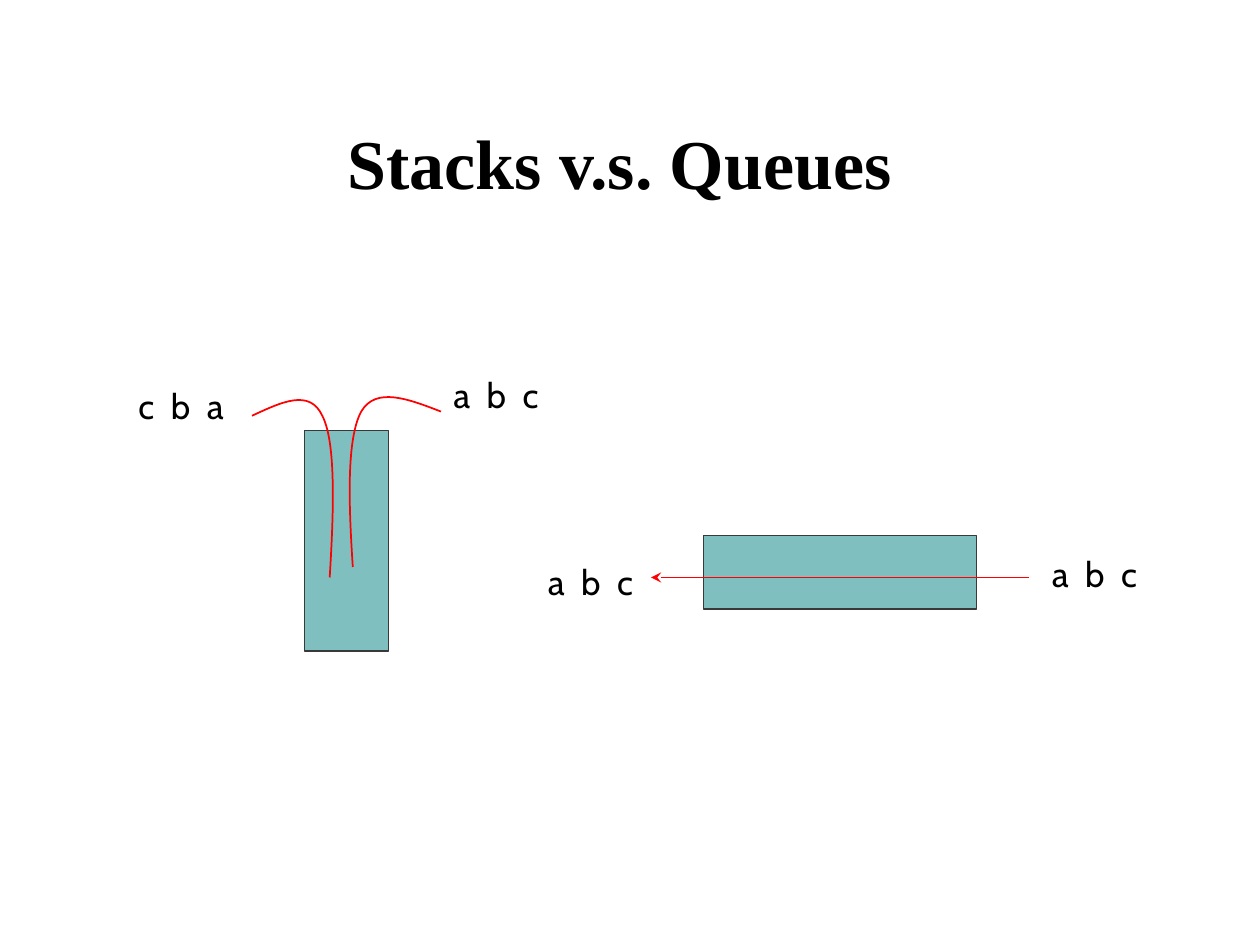
from dataclasses import dataclass

from lxml.etree import SubElement
from pptx import Presentation
from pptx.dml.color import RGBColor as RGB
from pptx.enum.shapes import MSO_CONNECTOR as Link, MSO_SHAPE as Form
from pptx.enum.text import MSO_ANCHOR as Anchor, PP_ALIGN as Align
from pptx.oxml.ns import qn
from pptx.util import Inches, Pt


@dataclass(frozen=True)
class Theme:
    ink: RGB = RGB(0, 0, 0)
    teal: RGB = RGB(0, 0x80, 0x80)
    edge: RGB = RGB(0x39, 0x39, 0x39)
    red: RGB = RGB(0xFF, 0, 0)
    alpha: int = 50
    head: str = "Times New Roman"
    body: str = "Cabin"
    big: int = 40
    small: int = 20
    gap: float = 2.5
    thin: float = 0.75
    bold: float = 1


class Board:
    """A slide on a grid of 120 columns by 90 rows."""

    cols, rows = 120, 90

    def __init__(self, theme):
        self.theme = theme
        self.deck = Presentation()
        self.deck.slide_width, self.deck.slide_height = Inches(10), Inches(7.5)
        self.slide = self.deck.slides.add_slide(self.deck.slide_layouts[5])
        self.shapes = self.slide.shapes

    def grid(self, *spots):
        """Turn alternating columns and rows into lengths."""
        units = (self.deck.slide_width / self.cols,
                 self.deck.slide_height / self.rows)
        return [round(spot * units[i % 2]) for i, spot in enumerate(spots)]

    def stroke(self, shape, color, width):
        shape.line.color.rgb = color
        shape.line.width = Pt(width)

    def title(self, text, *box):
        shape = self.shapes.title
        shape.left, shape.top, shape.width, shape.height = self.grid(*box)
        frame = shape.text_frame
        frame.text = text
        frame.vertical_anchor = Anchor.BOTTOM
        para = frame.paragraphs[0]
        para.alignment = Align.CENTER
        self.style(para.font, self.theme.head, self.theme.big)
        para.font.bold = True

    def style(self, font, name, size):
        font.name, font.size = name, Pt(size)
        font.color.rgb = self.theme.ink

    def label(self, text, col, row):
        """Write letters set apart by wide character spacing."""
        frame = self.shapes.add_textbox(*self.grid(col, row, 12, 5.2)).text_frame
        frame.word_wrap = True
        para = frame.paragraphs[0]
        run = para.add_run()
        run.text = text
        run._r.get_or_add_rPr().set("spc", str(round(self.theme.gap * 100)))
        self.style(para.font, self.theme.body, self.theme.small)

    def store(self, *box):
        """Draw a half-clear rectangle that holds the items."""
        shape = self.shapes.add_shape(Form.RECTANGLE, *self.grid(*box))
        shape.shadow.inherit = False
        shape.fill.solid()
        shape.fill.fore_color.rgb = self.theme.teal
        tint = shape._element.spPr.find(qn("a:solidFill"))[0]
        SubElement(tint, qn("a:alpha"), val=str(self.theme.alpha * 1000))
        self.stroke(shape, self.theme.edge, self.theme.thin)

    def arrow(self, *ends):
        """Draw a line with its arrowhead at the first end."""
        line = self.shapes.add_connector(Link.STRAIGHT, *self.grid(*ends))
        self.stroke(line, self.theme.red, self.theme.thin)
        SubElement(line.line._get_or_add_ln(), qn("a:headEnd"), type="stealth")
        SubElement(line._element.spPr, qn("a:effectLst"))

    def curve(self, *points):
        """Draw cubic curves: a start, then three points for each."""
        start, *rest = [self.grid(*point) for point in points]
        pen = self.shapes.build_freeform(*start)
        pen.add_line_segments(rest, close=False)
        shape = pen.convert_to_shape()
        shape.shadow.inherit = False
        shape.fill.background()
        self.stroke(shape, self.theme.red, self.theme.bold)
        path = next(shape._element.iter(qn("a:path")))
        steps = path.findall(qn("a:lnTo"))
        for i in range(0, len(steps), 3):
            bend = SubElement(path, qn("a:cubicBezTo"))
            for step in steps[i:i + 3]:
                bend.append(step[0])
                path.remove(step)


def main():
    board = Board(Theme())
    board.title("Stacks v.s. Queues", 5, 10, 108, 10)
    board.store(29, 41, 8, 21)
    board.store(67, 51, 26, 7)
    board.arrow(62, 55, 98, 55)
    for col, row in ((99, 52), (51, 52.8), (42, 35)):
        board.label("a b c", col, row)
    board.curve((42, 39.2), (38.9, 38), (35.8, 36.8), (34.4, 39.2),
                (33, 41.8), (33.2, 47.9), (33.6, 54))
    board.curve((24, 39.6), (26.8, 38.3), (29.5, 37), (30.7, 39.6),
                (32, 42.1), (31.8, 48.6), (31.4, 55))
    board.label("c b a", 12, 36)
    board.deck.save("out.pptx")


if __name__ == "__main__":
    main()
